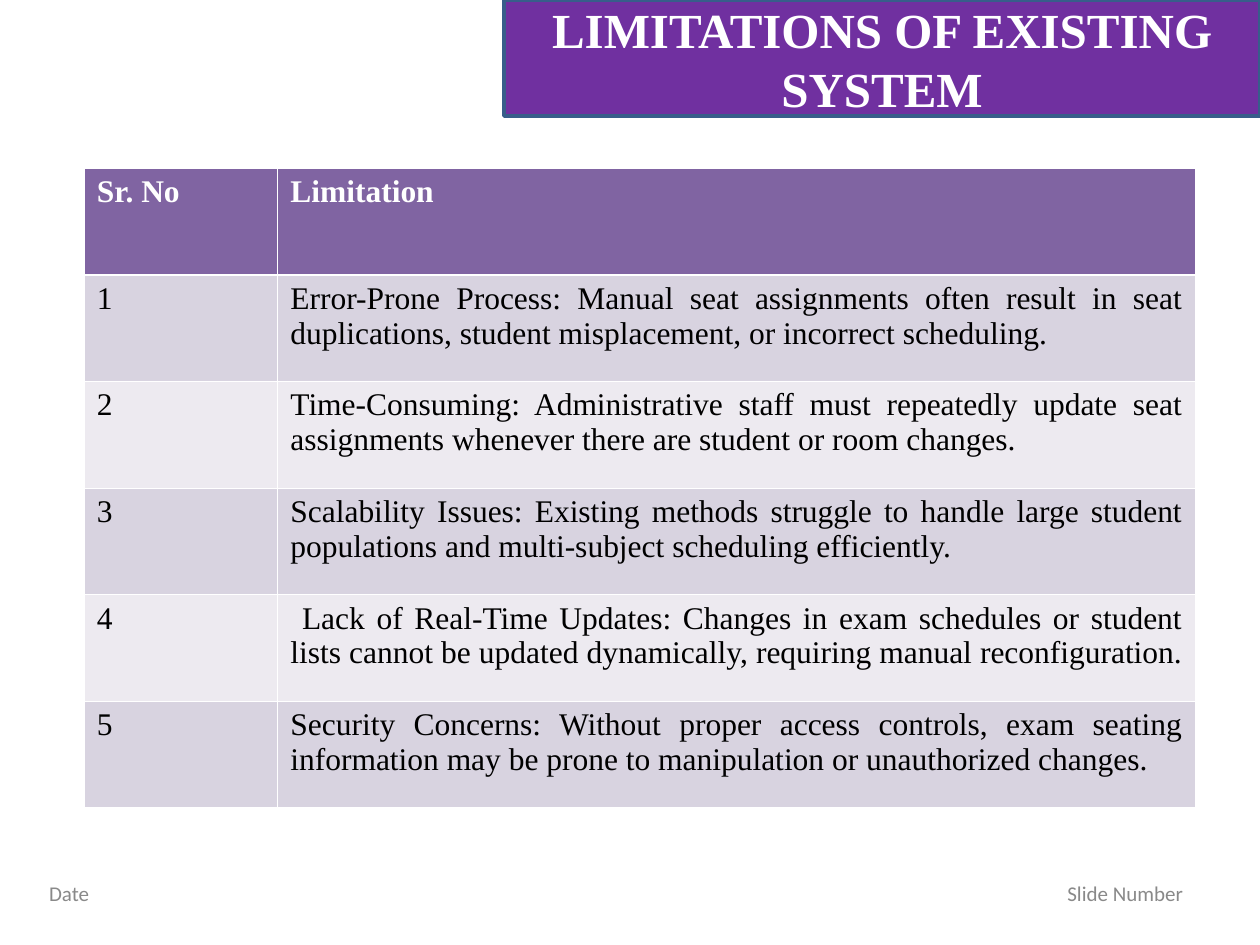
from lxml.etree import SubElement
from pptx import Presentation
from pptx.dml.color import RGBColor
from pptx.enum.text import MSO_ANCHOR as ANCHOR, MSO_AUTO_SIZE as AUTO, PP_ALIGN as ALIGN
from pptx.oxml.ns import qn
from pptx.util import Cm, Pt

TITLE = "LIMITATIONS OF EXISTING SYSTEM"
FOOTER = ("Date", "Slide Number")
HEADER = ("Sr. No", "Limitation")
LIMITATIONS = [
    "Error-Prone Process: Manual seat assignments often result in seat duplications, "
    "student misplacement, or incorrect scheduling. ",
    "Time-Consuming: Administrative staff must repeatedly update seat assignments "
    "whenever there are student or room changes. ",
    "Scalability Issues: Existing methods struggle to handle large student populations "
    "and multi-subject scheduling efficiently. ",
    " Lack of Real-Time Updates: Changes in exam schedules or student lists cannot be "
    "updated dynamically, requiring manual reconfiguration. ",
    "Security Concerns: Without proper access controls, exam seating information may be "
    "prone to manipulation or unauthorized changes.",
]
COL_WIDTHS = (3.9, 18.5)
ROW_HEIGHT = 2.15
SERIF = "Times New Roman"
WHITE, BLACK, GREY = "FFFFFF", "000000", "898989"
PURPLE, OUTLINE = "7030A0", "385D8A"
HEADER_FILL, BANDS = "8064A2", ("D8D3E0", "EDEAF0")
THIN, THICK = 0.45, 1.47


def rgb(color):
    return RGBColor.from_string(color)


def add_run(p, text, size, color, font=SERIF, bold=False):
    r = p.add_run()
    r.text = text
    r.font.size, r.font.name, r.font.bold = Pt(size), font, bold
    r.font.color.rgb = rgb(color)


def set_borders(cell, top, bottom):
    """Draw white cell edges; top and bottom are widths in points."""
    tcPr = cell._tc.get_or_add_tcPr()
    edges = (("a:lnL", THIN), ("a:lnR", THIN), ("a:lnT", top), ("a:lnB", bottom))
    for i, (tag, width) in enumerate(edges):
        ln = SubElement(tcPr, qn(tag), w=str(Pt(width)))
        SubElement(SubElement(ln, qn("a:solidFill")), qn("a:srgbClr"), val=WHITE)
        tcPr.insert(i, ln)  # edges come before the fill


def add_title(s):
    title = s.shapes.title
    title.left, title.top, title.width, title.height = Cm(10.16), 0, Cm(15.24), Cm(2.34)
    title.fill.solid()
    title.fill.fore_color.rgb = rgb(PURPLE)
    title.line.color.rgb = rgb(OUTLINE)
    title.line.width = Pt(2)
    tf = title.text_frame
    tf.word_wrap, tf.auto_size, tf.vertical_anchor = True, AUTO.NONE, ANCHOR.MIDDLE
    p = tf.paragraphs[0]
    p.alignment = ALIGN.CENTER
    add_run(p, TITLE, 28, WHITE, bold=True)


def add_limitations(s):
    rows = [HEADER] + [(str(n), text) for n, text in enumerate(LIMITATIONS, 1)]
    table = s.shapes.add_table(len(rows), len(HEADER), Cm(1.7), Cm(3.39),
                               Cm(sum(COL_WIDTHS)), Cm(ROW_HEIGHT * len(rows))).table
    for col, width in zip(table.columns, COL_WIDTHS):
        col.width = Cm(width)
    for i, texts in enumerate(rows):
        head = i == 0
        for j, text in enumerate(texts):
            cell = table.cell(i, j)
            cell.fill.solid()
            cell.fill.fore_color.rgb = rgb(HEADER_FILL if head else BANDS[(i - 1) % 2])
            set_borders(cell, THICK if i == 1 else THIN, THICK if head else THIN)
            p = cell.text_frame.paragraphs[0]
            p.alignment = ALIGN.JUSTIFY
            add_run(p, text, 18, WHITE if head else BLACK, bold=head)


def add_footer(s):
    """One line with the second label at a right tab stop."""
    tf = s.shapes.add_textbox(Cm(0.74), Cm(17.35), Cm(23.93), Cm(1.3)).text_frame
    tf.word_wrap, tf.vertical_anchor = True, ANCHOR.MIDDLE
    p = tf.paragraphs[0]
    tabs = SubElement(p._p.get_or_add_pPr(), qn("a:tabLst"))
    SubElement(tabs, qn("a:tab"), pos=str(Cm(22.86)), algn="r")
    add_run(p, "\t".join(FOOTER), 12, GREY, font="Calibri")


def main():
    prs = Presentation()
    prs.slide_width, prs.slide_height = Cm(25.4), Cm(19.05)
    s = prs.slides.add_slide(prs.slide_layouts[5])
    add_title(s)
    add_footer(s)
    add_limitations(s)
    prs.save("out.pptx")


if __name__ == "__main__":
    main()
